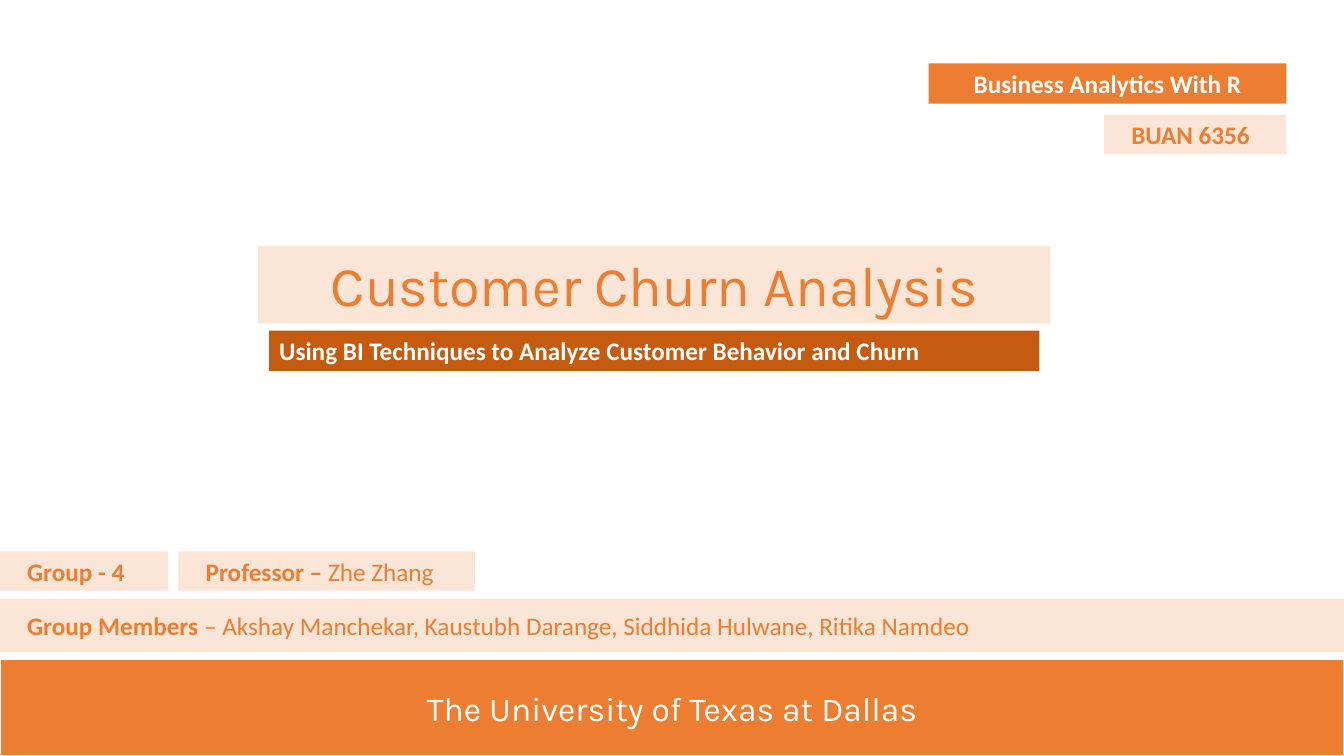
from pptx import Presentation
from pptx.dml.color import RGBColor
from pptx.enum.shapes import MSO_SHAPE
from pptx.enum.text import MSO_ANCHOR, PP_ALIGN
from pptx.util import Inches, Pt

RECTANGLE = MSO_SHAPE.RECTANGLE
TOP, MIDDLE = MSO_ANCHOR.TOP, MSO_ANCHOR.MIDDLE
LEFT, CENTER = PP_ALIGN.LEFT, PP_ALIGN.CENTER

# Content: spans are (text, bold)
UNIVERSITY = [("The University of Texas at Dallas", False)]
COURSE = [("Business Analytics With R", True)]
COURSE_CODE = [("BUAN 6356", True)]
TITLE = [("Customer Churn Analysis", False)]
SUBTITLE = [("Using BI Techniques to Analyze Customer Behavior and Churn", True)]
GROUP = [("Group - 4", True)]
PROFESSOR = [("Professor – ", True), ("Zhe Zhang", False)]
MEMBERS = [
    ("Group Members ", True),
    ("– Akshay Manchekar, Kaustubh Darange, Siddhida Hulwane, Ritika Namdeo", False),
]

THEME = {
    "orange": RGBColor(0xED, 0x7D, 0x31),
    "dark": RGBColor(0xC5, 0x5A, 0x11),
    "pale": RGBColor(0xFB, 0xE5, 0xD6),
    "white": RGBColor(0xFF, 0xFF, 0xFF),
    "heading_font": "Karla",
    "body_font": "Calibri",
    "title": 40,
    "footer": 24,
    "body": 18,
}

# Layout in inches
PAGE_WIDTH, PAGE_HEIGHT = 13.33, 7.5
RIGHT_EDGE = 12.76
INSET, LABEL_INSET = 0.1, 0.27
BAR_HEIGHT, TAG_HEIGHT = 0.4, 0.39
TAG_TOP = 5.47
COURSE_WIDTH, CODE_WIDTH = 3.55, 1.81
GROUP_WIDTH, TAG_GAP = 1.67, 0.1
FOOTER_HEIGHT = 0.96

deck = Presentation()
deck.slide_width, deck.slide_height = Inches(PAGE_WIDTH), Inches(PAGE_HEIGHT)
page = deck.slides.add_slide(deck.slide_layouts[6])


def add_bar(spans, left, top, width, height, fill="pale", color="orange", size="body",
            font="body_font", align=CENTER, anchor=TOP, inset=INSET, outline=None):
    """Draw a filled rectangle holding one line of formatted spans."""
    box = page.shapes.add_shape(
        RECTANGLE, Inches(left), Inches(top), Inches(width), Inches(height))
    box.shadow.inherit = False
    box.fill.solid()
    box.fill.fore_color.rgb = THEME[fill]
    if outline:
        box.line.color.rgb = THEME[outline]
        box.line.width = Pt(1.5)
    else:
        box.line.fill.background()
    frame = box.text_frame
    frame.word_wrap = True
    frame.vertical_anchor = anchor
    frame.margin_left = Inches(inset)
    para = frame.paragraphs[0]
    para.alignment = align
    for text, bold in spans:
        span = para.add_run()
        span.text = text
        span.font.name = THEME[font]
        span.font.size = Pt(THEME[size])
        span.font.bold = bold
        span.font.color.rgb = THEME[color]


# University footer
add_bar(UNIVERSITY, 0, PAGE_HEIGHT - FOOTER_HEIGHT, PAGE_WIDTH, FOOTER_HEIGHT,
        fill="orange", color="white", size="footer", font="heading_font",
        anchor=MIDDLE, outline="white")

# Course name
add_bar(COURSE, RIGHT_EDGE - COURSE_WIDTH, 0.63, COURSE_WIDTH, BAR_HEIGHT,
        fill="orange", color="white")

# Pale labels: course code, group, professor, members
labels = [
    (MEMBERS, 0, 5.94, PAGE_WIDTH, 0.53),
    (GROUP, 0, TAG_TOP, GROUP_WIDTH, TAG_HEIGHT),
    (PROFESSOR, GROUP_WIDTH + TAG_GAP, TAG_TOP, 2.94, TAG_HEIGHT),
    (COURSE_CODE, RIGHT_EDGE - CODE_WIDTH, 1.14, CODE_WIDTH, TAG_HEIGHT),
]
for label in labels:
    add_bar(*label, align=LEFT, anchor=MIDDLE, inset=LABEL_INSET)

# Title and subtitle
add_bar(TITLE, 2.56, 2.44, 7.86, 0.77, size="title", font="heading_font")
add_bar(SUBTITLE, 2.67, 3.28, 7.64, BAR_HEIGHT, fill="dark", color="white", align=LEFT)

deck.save("out.pptx")
